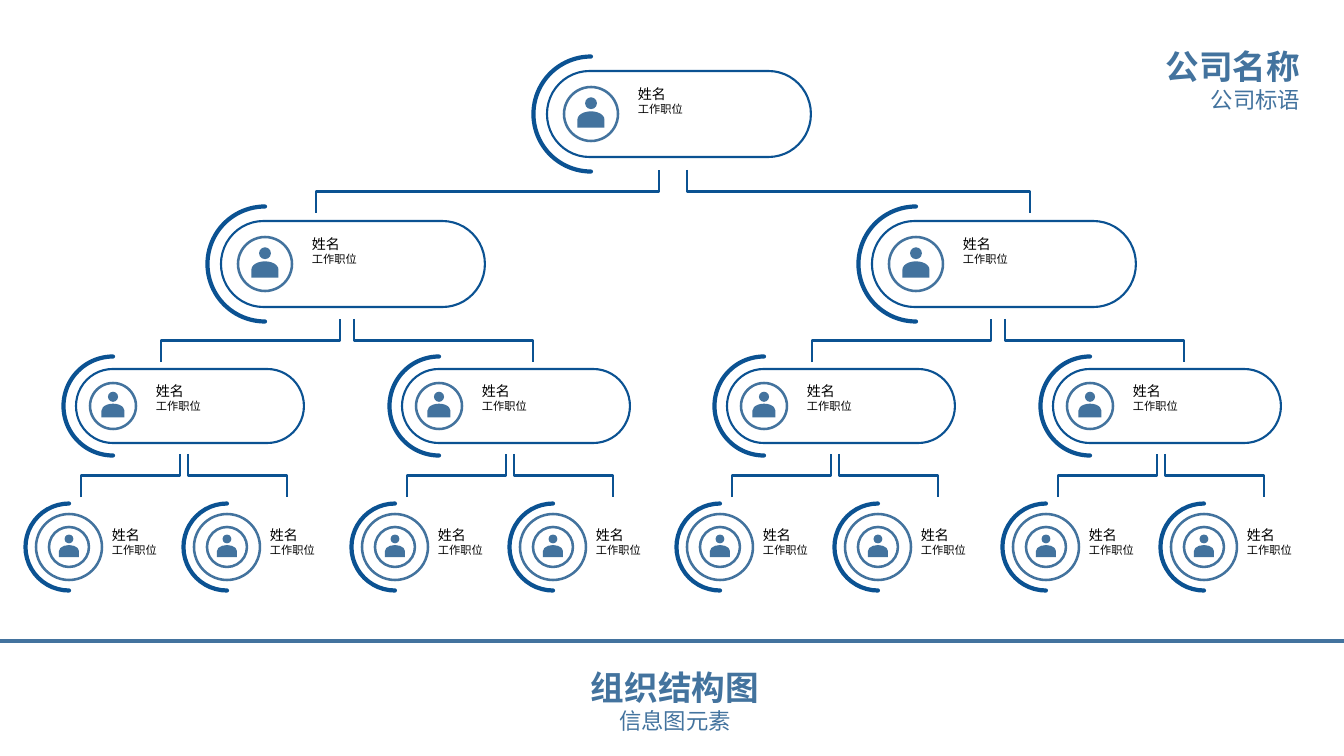
from dataclasses import dataclass

from lxml import etree
from pptx import Presentation
from pptx.dml.color import RGBColor
from pptx.enum.shapes import MSO_CONNECTOR, MSO_SHAPE
from pptx.enum.text import MSO_AUTO_SIZE, PP_ALIGN
from pptx.oxml.ns import qn
from pptx.util import Pt

ELBOW = MSO_CONNECTOR.ELBOW
RECTANGLE, OVAL = MSO_SHAPE.RECTANGLE, MSO_SHAPE.OVAL
PILL, ARC = MSO_SHAPE.FLOWCHART_TERMINATOR, MSO_SHAPE.BLOCK_ARC
SHOULDERS = MSO_SHAPE.FLOWCHART_DELAY
LEFT, CENTER, RIGHT = PP_ALIGN.LEFT, PP_ALIGN.CENTER, PP_ALIGN.RIGHT

SLIDE_WIDTH, SLIDE_HEIGHT = 1344, 756
EMU_PER_PX = 12192000 / SLIDE_WIDTH
FONT = "DejaVu Serif"
NAVY, STEEL, BLUE = "0B5292", "43739E", "0F6FC6"
WHITE, BLACK = "FFFFFF", "000000"


@dataclass
class Level:
    """Sizes of one row of cards, in px; offsets start at the arc centre."""
    center_y: int
    arc: int
    frame: tuple        # shape, left offset, width, height
    avatar: int
    label: tuple        # left offset, top offset, width
    children: tuple = ()     # x offsets of the two cards below
    fork: tuple = ()         # x offset, top, half gap, reach


LEVELS = [
    Level(114, 115, (PILL, -44, 264, 86), 54, (37, -33, 174),
          (-326, 325), (82, 170, 14, 357)),
    Level(264, 115, (PILL, -44, 264, 86), 54, (37, -33, 174),
          (-152, 174), (82, 319, 7, 186)),
    Level(406, 99, (PILL, -37, 228, 74), 46, (33, -28, 150),
          (-44, 114), (71, 454, 4, 103)),
    Level(547, 87, (OVAL, -33, 66, 66), 40, (33, -25, 82)),
]
FORK_HEIGHT = 43


def px(length):
    return round(length * EMU_PER_PX)


def color(value):
    return RGBColor.from_string(value)


def add_shape(shapes, kind, left, top, width, height, fill=None, line=None, weight=1):
    shape = shapes.add_shape(kind, px(left), px(top), px(width), px(height))
    shape.shadow.inherit = False
    if fill:
        shape.fill.solid()
        shape.fill.fore_color.rgb = color(fill)
    else:
        shape.fill.background()
    if line:
        shape.line.color.rgb = color(line)
        shape.line.width = Pt(weight)
    else:
        shape.line.fill.background()
    return shape


def add_centered(shapes, kind, x, y, width, height, **style):
    return add_shape(shapes, kind, x - width / 2, y - height / 2, width, height, **style)


def add_text(shapes, left, top, width, height, lines, text_color, align):
    """Each line is (text, size, bold)."""
    box = shapes.add_textbox(px(left), px(top), px(width), px(height))
    frame = box.text_frame
    frame.word_wrap = True
    frame.auto_size = MSO_AUTO_SIZE.SHAPE_TO_FIT_TEXT
    for index, (text, size, bold) in enumerate(lines):
        paragraph = frame.add_paragraph() if index else frame.paragraphs[0]
        paragraph.alignment = align
        run = paragraph.add_run()
        run.text = text
        run.font.name = FONT
        run.font.size = Pt(size)
        run.font.bold = bold
        run.font.color.rgb = color(text_color)


def add_avatar(shapes, x, y, size):
    add_centered(shapes, OVAL, x, y, size, size, line=STEEL, weight=1.8)
    head = 0.22 * size
    add_centered(shapes, OVAL, x, y - 0.2 * size, head, head, fill=STEEL)
    body = add_centered(shapes, SHOULDERS, x, y + 0.1 * size,
                        0.3 * size, 0.5 * size, fill=STEEL)
    body.rotation = 270


def add_card(slide, x, level):
    shapes = slide.shapes.add_group_shape().shapes
    y = level.center_y

    # Frame and outer arc
    kind, offset, width, height = level.frame
    if kind == PILL:
        style = dict(fill=WHITE, line=NAVY, weight=1.5)
    else:
        style = dict(line=STEEL, weight=1.8)
    add_shape(shapes, kind, x + offset, y - height / 2, width, height, **style)
    arc = add_centered(shapes, ARC, x, y, level.arc, level.arc,
                       fill=BLUE, line=NAVY, weight=3)
    arc.adjustments[2] = 0
    arc.rotation = 270

    # Label and avatar
    left, top, label_width = level.label
    add_text(shapes, x + left, y + top, label_width, 40,
             [("姓名", 10, False), ("工作职位", 8, False)], BLACK, LEFT)
    add_avatar(shapes, x, y, level.avatar)


def add_fork(slide, x, level):
    """Two elbows, each turned a quarter so that it leaves vertically."""
    offset, top, half_gap, reach = level.fork
    middle_y = top + FORK_HEIGHT / 2
    half_span = (reach - half_gap) / 2
    for side in (-1, 1):
        middle_x = x + offset + side * (half_gap + reach) / 2
        half_depth = side * FORK_HEIGHT / 2
        connector = slide.shapes.add_connector(
            ELBOW,
            px(middle_x + half_depth), px(middle_y - half_span),
            px(middle_x - half_depth), px(middle_y + half_span))
        connector.line.color.rgb = color(NAVY)
        connector.line.width = Pt(1.5)
        properties = connector._element.spPr
        properties.find(qn("a:xfrm")).set("rot", str(270 * 60000))
        etree.SubElement(properties, qn("a:effectLst"))


def add_branch(slide, x, depth=0):
    level = LEVELS[depth]
    add_card(slide, x, level)
    if level.children:
        add_fork(slide, x, level)
    for offset in level.children:
        add_branch(slide, x + offset, depth + 1)


def add_heading(slide, left, top, width, height, title, subtitle, align):
    add_text(slide.shapes, left, top, width, height,
             [(title, 24, True), (subtitle, 16, False)], STEEL, align)


def main():
    presentation = Presentation()
    presentation.slide_width = px(SLIDE_WIDTH)
    presentation.slide_height = px(SLIDE_HEIGHT)
    slide = presentation.slides.add_slide(presentation.slide_layouts[6])

    # Headings and footer rule
    add_heading(slide, 937, 41, 373, 78, "公司名称", "公司标语", RIGHT)
    add_heading(slide, 6, 662, 1338, 78, "组织结构图", "信息图元素", CENTER)
    add_shape(slide.shapes, RECTANGLE, 0, 639, SLIDE_WIDTH, 4, fill=STEEL)

    # Organisation tree
    add_branch(slide, 591)
    presentation.save("out.pptx")


if __name__ == "__main__":
    main()
